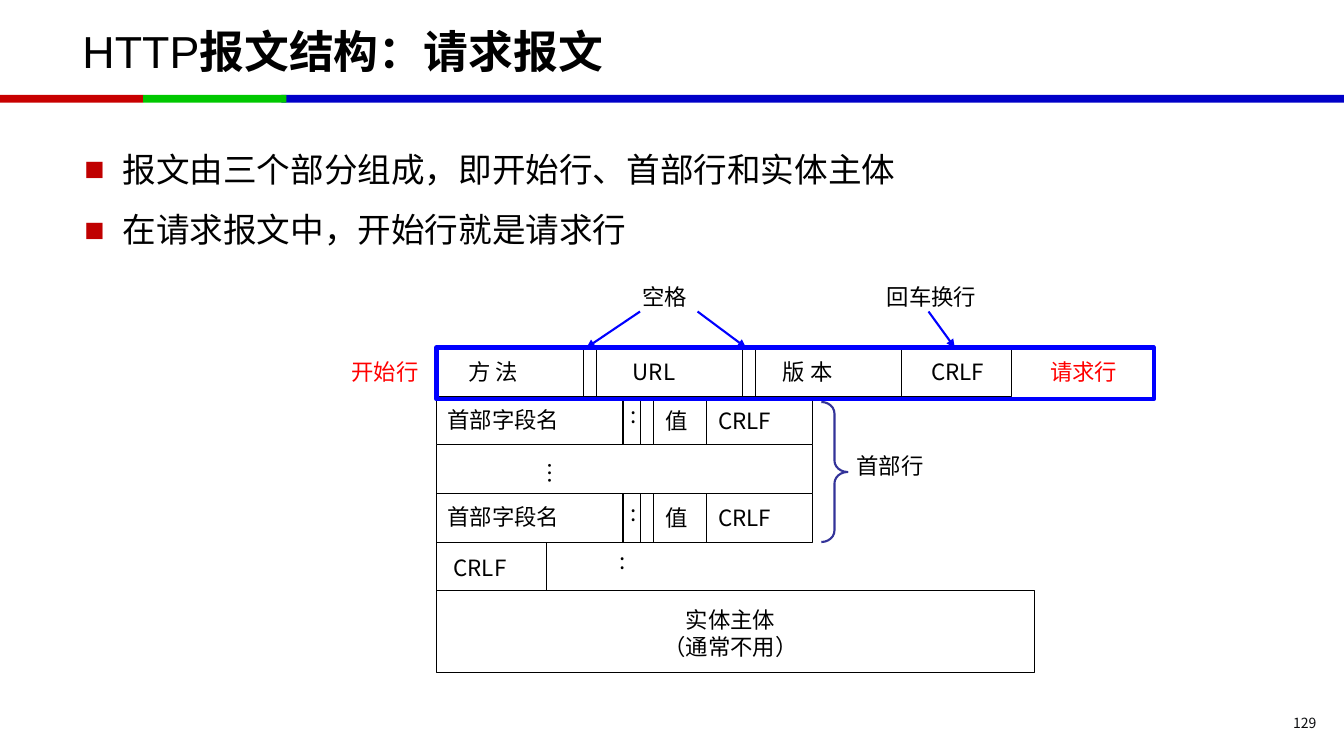
from dataclasses import dataclass

from lxml import etree
from pptx import Presentation
from pptx import util as u
from pptx.dml.color import RGBColor
from pptx.enum import shapes, text
from pptx.oxml import ns

Cm = u.Cm
KIND = shapes.MSO_SHAPE
ALIGN = text.PP_ALIGN
MID = text.MSO_ANCHOR.MIDDLE


@dataclass(frozen=True)
class Theme:
    black: str = "000000"
    red: str = "FF0000"
    blue: str = "0000FF"
    brace: str = "333399"
    bullet: str = "C00000"
    number: str = "0C0D0F"
    bars: tuple = ("0000C8", "C80000", "00C800")
    body: str = "Noto Sans CJK SC"
    head: str = "Arial"
    title: int = 32
    point: int = 24
    label: int = 16
    foot: int = 10
    thin: float = 0.75
    mid: float = 1.5
    thick: float = 3


T = Theme()


def put(obj, vals):
    for key, val in vals.items():
        setattr(obj, key, val)


def sub(node, tag, **attrs):
    return etree.SubElement(node, ns.qn(tag), attrs)


def style(run, size, color=T.black, face=T.body, bold=False):
    put(run.font, {"size": u.Pt(size), "name": face, "bold": bold})
    run.font.color.rgb = RGBColor.from_string(color)
    sub(run.font._element, "a:ea", typeface=T.body)


def write(slide, box, lines, size=T.label, color=T.black, align=ALIGN.LEFT, anchor=text.MSO_ANCHOR.TOP):
    """Add a text box with one paragraph per line."""
    area = slide.shapes.add_textbox(*map(Cm, box))
    frame = area.text_frame
    put(frame, {"word_wrap": True, "vertical_anchor": anchor})
    for i, line in enumerate(lines):
        para = frame.add_paragraph() if i else frame.paragraphs[0]
        para.alignment = align
        run = para.add_run()
        run.text = line
        style(run, size, color)
    return area


def shape(slide, kind, box, fill=None, line=None, width=T.thin):
    item = slide.shapes.add_shape(kind, *map(Cm, box))
    item.shadow.inherit = False
    if fill:
        item.fill.solid()
        item.fill.fore_color.rgb = RGBColor.from_string(fill)
    else:
        item.fill.background()
    if line:
        item.line.color.rgb = RGBColor.from_string(line)
        item.line.width = u.Pt(width)
    else:
        item.line.fill.background()
    return item


def rule(slide, ends, color=T.black, width=T.thin, arrow=False):
    line = slide.shapes.add_connector(shapes.MSO_CONNECTOR.STRAIGHT, *map(Cm, ends))
    line.line.color.rgb = RGBColor.from_string(color)
    line.line.width = u.Pt(width)
    if arrow:
        sub(line.line._get_or_add_ln(), "a:tailEnd", type="triangle")
    sub(line._element.spPr, "a:effectLst")


def header(slide, x, y, w):
    """Title above a three-colour bar."""
    step, top, high = 3.61, y + 2.39, 0.2
    spans = ((2 * step - 0.13, w - 2 * step + 0.13), (0, step), (step, step))
    for (left, wide), color in zip(spans, T.bars):
        shape(slide, KIND.RECTANGLE, (x + left, top, wide, high), color)
    area = write(slide, (x + 1.83, y + 0.2, 30.18, 2.13), ["HTTP"], T.title, anchor=MID)
    para = area.text_frame.paragraphs[0]
    style(para.runs[0], T.title, face=T.head)
    run = para.add_run()
    run.text = "报文结构：请求报文"
    style(run, T.title, face=T.head, bold=True)


def points(slide, box, lines):
    area = write(slide, box, lines, T.point)
    for para in area.text_frame.paragraphs:
        para.line_spacing = 1.5
        props = para._p.get_or_add_pPr()
        put_in = {"marL": str(Cm(0.96)), "indent": str(-Cm(0.96))}
        for key, val in put_in.items():
            props.set(key, val)
        sub(sub(props, "a:buClr"), "a:srgbClr", val=T.bullet)
        sub(props, "a:buFont", typeface=T.head)
        sub(props, "a:buChar", char="■")


def message(slide, x, y):
    """Request layout whose start line has its corner at x, y."""
    row, high, wide = 1.225, 0.87, 9.47

    def split(n, cols):
        for col in cols:
            rule(slide, (x + col, y + n * row, x + col, y + (n + 1) * row))

    def label(dx, dy, w, *lines, **form):
        return write(slide, (x + dx, y + dy, w, high), lines, **form)

    shape(slide, KIND.RECTANGLE, (x, y, 14.5, row), line=T.black)
    split(0, (3.71, 4.04, 7.72, 8.05, 11.73))
    for n in (1, 3):
        top = n * row
        shape(slide, KIND.RECTANGLE, (x, y + top, wide, row), line=T.black)
        split(n, (4.7, 5.13, 5.46, 6.81))
        for dx, dy, w, word in (
            (0.03, 0.12, 4.35, "首部字段名"),
            (4.63, 0.01, 0.76, ":"),
            (5.52, 0.14, 1.25, "值"),
            (6.85, 0.14, 2.5, "CRLF"),
        ):
            label(dx, top + dy, w, word)
    split(2, (0, wide))
    split(4, (0, 2.77))
    shape(slide, KIND.RECTANGLE, (x, y + 5 * row, 15.08, 2.06), line=T.black)
    brace = shape(slide, KIND.RIGHT_BRACE, (x + 9.7, y + 1.37, 0.66, 3.53), line=T.brace, width=T.mid)
    brace.adjustments[0] = 0.44

    for dx, dy, w, word in (
        (0.56, 0.13, 3, "方 法"),
        (4.7, 0.13, 1.9, "URL"),
        (8.48, 0.13, 2.77, "版 本"),
        (10.34, 2.51, 3.38, "首部行"),
        (4.37, 4.9, 0.76, ":"),
        (0.18, 5.08, 2.18, "CRLF"),
        (4.93, -1.75, 2.54, "空格"),
        (11.1, -1.75, 3.91, "回车换行"),
    ):
        label(dx, dy, w, word)
    label(12.04, 0.13, 2.18, "CRLF", align=ALIGN.CENTER)
    label(5.16, 6.4, 4.5, "实体主体", "（通常不用）", align=ALIGN.CENTER)
    label(2.18, 2.62, 1.3, "…").rotation = 270
    label(14.86, 0.13, 2.54, "请求行", color=T.red, align=ALIGN.RIGHT)
    label(-2.39, 0.15, 2.44, "开始行", color=T.red)

    for start, end in ((6.58, 7.8), (5.13, 3.78), (12.4, 13.06)):
        rule(slide, (x + start, y - 0.91, x + end, y), T.blue, T.mid, True)
    shape(slide, KIND.RECTANGLE, (x, y, 18.08, 1.3), line=T.blue, width=T.thick)


def main():
    deck = Presentation()
    put(deck, {"slide_width": Cm(33.87), "slide_height": Cm(19.05)})
    slide = deck.slides.add_slide(deck.slide_layouts[6])
    header(slide, 0, 0, 33.87)
    points(slide, (1.88, 3.12, 30.15, 3.15), [
        "报文由三个部分组成，即开始行、首部行和实体主体",
        "在请求报文中，开始行就是请求行",
    ])
    message(slide, 11, 8.76)
    write(slide, (30.12, 17.93, 3.3, 0.58), ["129"], T.foot, T.number, ALIGN.RIGHT, MID)
    deck.save("out.pptx")


if __name__ == "__main__":
    main()
